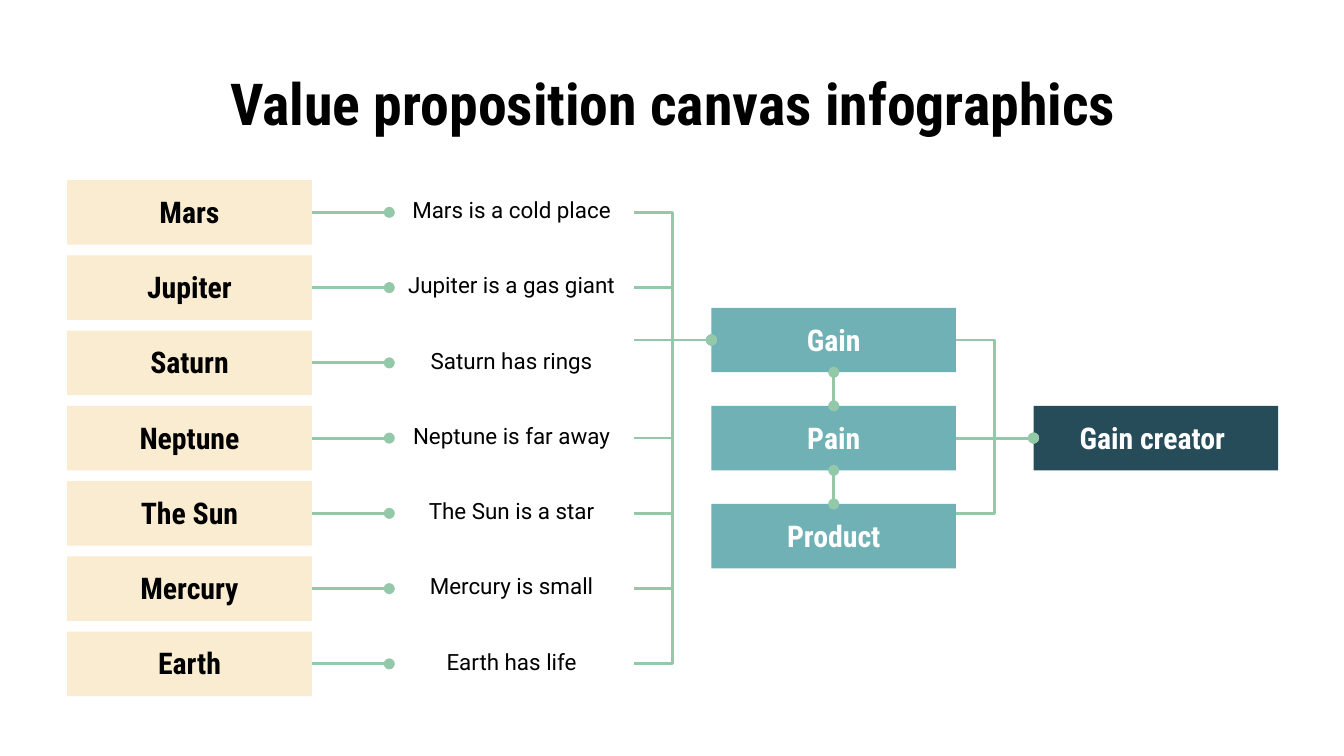
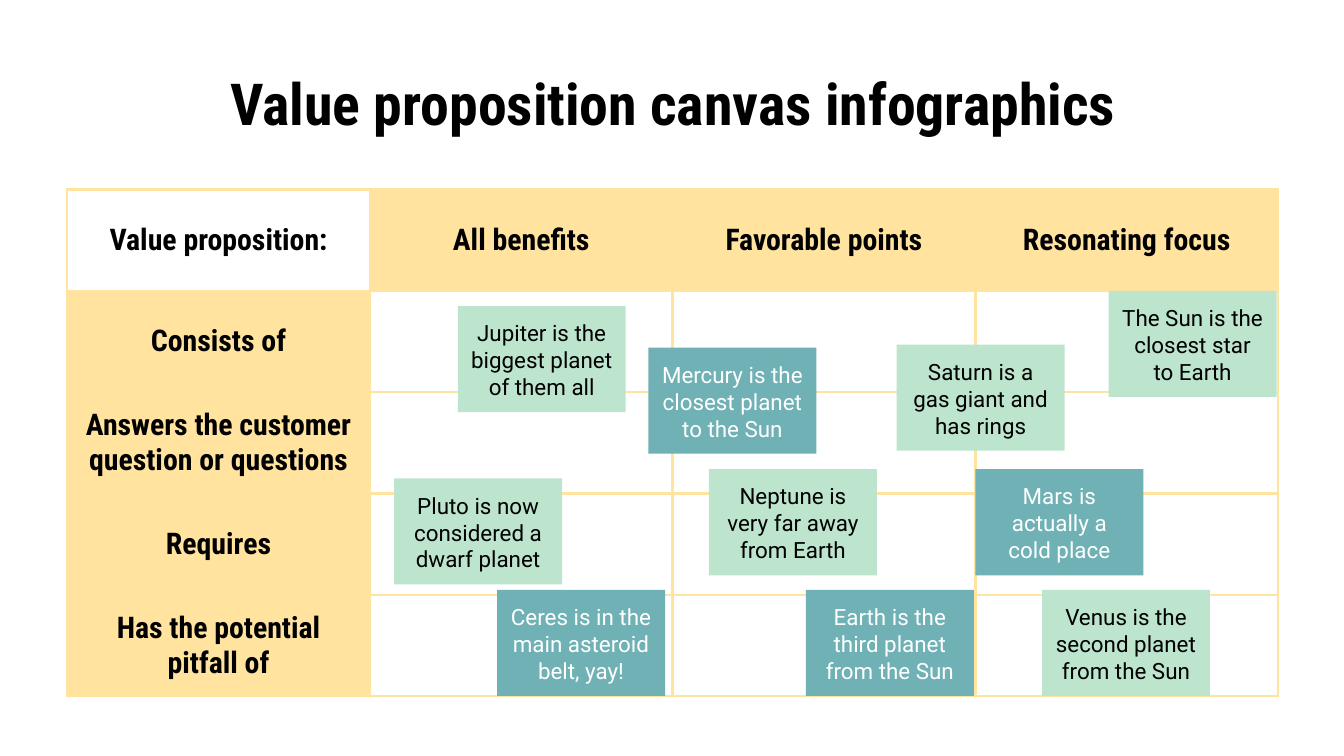
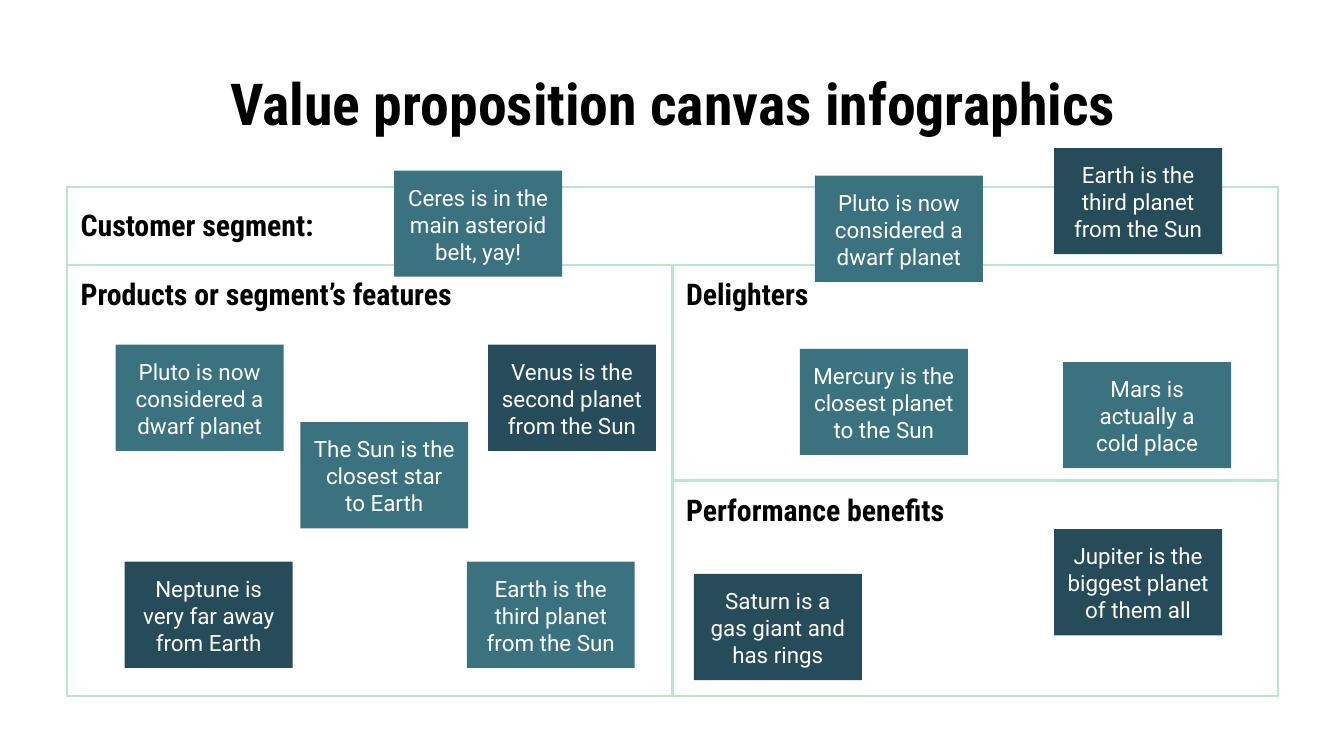
from collections import namedtuple

from lxml import etree
from pptx import Presentation
from pptx.dml.color import RGBColor
from pptx.enum.shapes import MSO_CONNECTOR, MSO_SHAPE
from pptx.enum.text import MSO_ANCHOR, PP_ALIGN
from pptx.oxml.ns import qn
from pptx.util import Inches, Pt

Box = namedtuple("Box", "x y w h")

# Shared style
BLACK, WHITE = "000000", "FFFFFF"
CREAM, YELLOW = "F9ECD1", "FFE39F"
MINT, GREEN = "BDE5CD", "93C9A9"
TEAL, DEEP_TEAL, NAVY = "6FB1B5", "3A727F", "264B59"
HEAD_FONT, BODY_FONT = "Roboto Condensed", "Roboto"
TITLE = "Value proposition canvas infographics"
TITLE_BOX = Box(0.5, 0.45, 9.01, 0.62)
MARGIN = 0.1
LINE_WIDTH = 1.5
TOP, LEFT, BOTTOM, RIGHT = range(4)

# Note texts used on the board slides, and the size of a note
FACTS = {
    "Jupiter": "Jupiter is the biggest planet of them all",
    "Earth": "Earth is the third planet from the Sun",
    "Sun": "The Sun is the closest star to Earth",
    "Pluto": "Pluto is now considered a dwarf planet",
    "Neptune": "Neptune is very far away from Earth",
    "Ceres": "Ceres is in the main asteroid belt, yay!",
    "Mercury": "Mercury is the closest planet to the Sun",
    "Mars": "Mars is actually a cold place",
    "Venus": "Venus is the second planet from the Sun",
    "Saturn": "Saturn is a gas giant and has rings",
}
NOTE_W, NOTE_H = 1.25, 0.79
BOARD_COLS, BOARD_ROWS = 4, 5


def rgb(color):
    return RGBColor.from_string(color)


def style_font(p, size, color, name=HEAD_FONT, bold=True):
    p.font.size, p.font.name, p.font.bold = Pt(size), name, bold
    p.font.color.rgb = rgb(color)


def set_margins(target):
    target.margin_left = target.margin_right = Inches(MARGIN)
    target.margin_top = target.margin_bottom = Inches(MARGIN)


def write(tf, text, size, color, name=HEAD_FONT, bold=True, anchor=MSO_ANCHOR.TOP):
    """Fill a text frame with one centred paragraph."""
    tf.word_wrap = True
    tf.vertical_anchor = anchor
    set_margins(tf)
    p = tf.paragraphs[0]
    p.text, p.alignment = text, PP_ALIGN.CENTER
    style_font(p, size, color, name, bold)


def add_titled_slide(prs):
    slide = prs.slides.add_slide(prs.slide_layouts[5])
    title = slide.shapes.title
    title.left, title.top, title.width, title.height = map(Inches, TITLE_BOX)
    write(title.text_frame, TITLE, 31, BLACK, anchor=MSO_ANCHOR.MIDDLE)
    return slide


def add_block(slide, box, text, fill, color, size=16, name=HEAD_FONT, bold=True):
    sp = slide.shapes.add_shape(MSO_SHAPE.RECTANGLE, *map(Inches, box))
    sp.shadow.inherit = False
    sp.fill.solid()
    sp.fill.fore_color.rgb = rgb(fill)
    sp.line.fill.background()
    write(sp.text_frame, text, size, color, name, bold)
    return sp


def add_label(slide, box, text):
    sp = slide.shapes.add_textbox(*map(Inches, box))
    write(sp.text_frame, text, 12, BLACK, BODY_FONT, False)
    return sp


def site(sp, side):
    """Middle of one side of a shape."""
    mid_x, mid_y = sp.left + sp.width // 2, sp.top + sp.height // 2
    return {TOP: (mid_x, sp.top), LEFT: (sp.left, mid_y),
            BOTTOM: (mid_x, sp.top + sp.height),
            RIGHT: (sp.left + sp.width, mid_y)}[side]


def add_link(slide, start, end, kind=MSO_CONNECTOR.STRAIGHT, dots=("tailEnd",)):
    """Link two ends, each a (shape, side) pair or a free (x, y) point."""
    joined = [hasattr(e[0], "shape_id") for e in (start, end)]
    points = [site(*e) if j else e for e, j in zip((start, end), joined)]
    cxn = slide.shapes.add_connector(kind, *points[0], *points[1])
    if joined[0]:
        cxn.begin_connect(*start)
    if joined[1]:
        cxn.end_connect(*end)
    cxn.line.color.rgb = rgb(GREEN)
    cxn.line.width = Pt(LINE_WIDTH)
    ln = cxn.line._get_or_add_ln()
    for dot in dots:
        etree.SubElement(ln, qn("a:" + dot), type="oval")
    etree.SubElement(cxn._element.spPr, qn("a:effectLst"))


def border_cell(cell, color):
    tcPr = cell._tc.get_or_add_tcPr()
    for i, edge in enumerate(("lnL", "lnR", "lnT", "lnB")):
        ln = etree.Element(qn("a:" + edge), w=str(Pt(LINE_WIDTH)))
        fill = etree.SubElement(ln, qn("a:solidFill"))
        etree.SubElement(fill, qn("a:srgbClr"), val=color)
        tcPr.insert(i, ln)


def add_grid(slide, box, col_count, row_heights, line):
    """Table with equal columns, clear cells and one border colour."""
    frame = slide.shapes.add_table(len(row_heights), col_count, *map(Inches, box))
    table = frame.table
    table.first_row = table.horz_banding = False
    for col in table.columns:
        col.width = Inches(box.w / col_count)
    for row, height in zip(table.rows, row_heights):
        row.height = Inches(height)
    for cell in table.iter_cells():
        cell.fill.background()
        set_margins(cell)
        border_cell(cell, line)
    return table


def fill_cell(cell, text, align, anchor, fill=None):
    cell.vertical_anchor = anchor
    p = cell.text_frame.paragraphs[0]
    p.text, p.alignment = text, align
    style_font(p, 16, BLACK)
    if fill:
        cell.fill.solid()
        cell.fill.fore_color.rgb = rgb(fill)


def add_notes(slide, box, notes):
    """Place notes by column and row of the board grid."""
    col_w, row_h = box.w / BOARD_COLS, box.h / BOARD_ROWS
    for key, col, row, fill in notes:
        spot = Box(box.x + col * col_w, box.y + row * row_h, NOTE_W, NOTE_H)
        color = BLACK if fill == MINT else WHITE
        add_block(slide, spot, FACTS[key], fill, color, 12, BODY_FONT, False)


def build_flow(slide, box):
    """Planets, their facts, three linked needs and the final result."""
    planets = [
        ("Mars", "Mars is a cold place"),
        ("Jupiter", "Jupiter is a gas giant"),
        ("Saturn", "Saturn has rings"),
        ("Neptune", "Neptune is far away"),
        ("The Sun", "The Sun is a star"),
        ("Mercury", "Mercury is small"),
        ("Earth", "Earth has life"),
    ]
    card_w, card_h, label_h = 1.82, 0.48, 0.44
    pitch_x = (box.w - card_w) / 3
    pitch_y = (box.h - card_h) / (len(planets) - 1)
    need_pitch = 0.73
    xs = [box.x + i * pitch_x for i in range(4)]
    mid_y = box.y + (box.h - card_h) / 2

    # Needs and result
    gain, pain, product = needs = [
        add_block(slide, Box(xs[2], mid_y + i * need_pitch, card_w, card_h),
                  text, TEAL, WHITE)
        for i, text in zip((-1, 0, 1), ("Gain", "Pain", "Product"))]
    result = add_block(slide, Box(xs[3], mid_y, card_w, card_h),
                       "Gain creator ", NAVY, WHITE)

    # Planet rows
    labels = []
    for i, (planet, fact) in enumerate(planets):
        y = box.y + i * pitch_y
        card = add_block(slide, Box(xs[0], y, card_w, card_h), planet, CREAM, BLACK)
        label = add_label(
            slide, Box(xs[1], y + (card_h - label_h) / 2, card_w, label_h), fact)
        add_link(slide, (card, RIGHT), (label, LEFT))
        labels.append(label)

    # Facts to gain; the Saturn link runs level with the gain block
    for i, label in enumerate(labels):
        if i == 2:
            level = (site(label, RIGHT)[0], site(gain, LEFT)[1])
            add_link(slide, level, (gain, LEFT))
        else:
            add_link(slide, (label, RIGHT), (gain, LEFT), MSO_CONNECTOR.ELBOW)

    # Needs to result; the product link leaves level with the fifth row
    add_link(slide, (gain, RIGHT), (result, LEFT), MSO_CONNECTOR.ELBOW)
    level = (site(product, RIGHT)[0], site(labels[4], RIGHT)[1])
    add_link(slide, level, (result, LEFT), MSO_CONNECTOR.ELBOW)
    add_link(slide, (pain, RIGHT), (result, LEFT))
    for upper, lower in zip(needs, needs[1:]):
        add_link(slide, (upper, BOTTOM), (lower, TOP), dots=("headEnd", "tailEnd"))


def build_matrix(slide, box):
    """Matrix with a header row and column, and notes on top."""
    table = add_grid(slide, box, BOARD_COLS, [box.h / BOARD_ROWS] * BOARD_ROWS, YELLOW)
    heads = ["Value proposition:", "All benefits", "Favorable points",
             "Resonating focus"]
    sides = ["Consists of", "Answers the customer question or questions",
             "Requires", "Has the potential pitfall of"]
    spots = [(0, c, text) for c, text in enumerate(heads)]
    spots += [(r, 0, text) for r, text in enumerate(sides, 1)]
    for r, c, text in spots:
        fill_cell(table.cell(r, c), text, PP_ALIGN.CENTER, MSO_ANCHOR.MIDDLE,
                  YELLOW if r or c else None)
    add_notes(slide, box, [
        ("Jupiter", 1.29, 1.15, MINT),
        ("Earth", 2.44, 3.95, TEAL),
        ("Sun", 3.44, 1, MINT),
        ("Pluto", 1.08, 2.85, MINT),
        ("Neptune", 2.12, 2.76, MINT),
        ("Ceres", 1.42, 3.95, TEAL),
        ("Mercury", 1.92, 1.56, TEAL),
        ("Mars", 3, 2.76, TEAL),
        ("Venus", 3.22, 3.95, MINT),
        ("Saturn", 2.74, 1.53, MINT),
    ])


def build_segment_board(slide, box):
    """Customer segment board with merged areas, and notes on top."""
    head_h = 0.58
    area_h = (box.h - head_h) / 2
    table = add_grid(slide, box, 2, [head_h, area_h, area_h], MINT)
    table.cell(0, 0).merge(table.cell(0, 1))
    table.cell(1, 0).merge(table.cell(2, 0))
    for r, c, text, anchor in [
        (0, 0, "Customer segment:", MSO_ANCHOR.MIDDLE),
        (1, 0, "Products or segment’s features", MSO_ANCHOR.TOP),
        (1, 1, "Delighters", MSO_ANCHOR.TOP),
        (2, 1, "Performance benefits", MSO_ANCHOR.TOP),
    ]:
        fill_cell(table.cell(r, c), text, PP_ALIGN.LEFT, anchor)
    add_notes(slide, box, [
        ("Jupiter", 3.26, 3.36, NAVY),
        ("Earth", 1.32, 3.68, DEEP_TEAL),
        ("Sun", 0.77, 2.31, DEEP_TEAL),
        ("Pluto", 0.16, 1.55, DEEP_TEAL),
        ("Neptune", 0.19, 3.68, NAVY),
        ("Ceres", 1.08, -0.16, DEEP_TEAL),
        ("Mercury", 2.42, 1.59, DEEP_TEAL),
        ("Mars", 3.29, 1.72, DEEP_TEAL),
        ("Venus", 1.39, 1.55, NAVY),
        ("Saturn", 2.07, 3.8, NAVY),
        ("Pluto", 2.47, -0.11, DEEP_TEAL),
        ("Earth", 3.26, -0.38, NAVY),
    ])


def main():
    prs = Presentation()
    prs.slide_width = Inches(10)
    prs.slide_height = prs.slide_width * 9 // 16
    build_flow(add_titled_slide(prs), Box(0.5, 1.34, 9.01, 3.84))
    build_matrix(add_titled_slide(prs), Box(0.5, 1.41, 9.01, 3.77))
    build_segment_board(add_titled_slide(prs), Box(0.5, 1.39, 9.01, 3.79))
    prs.save("out.pptx")


if __name__ == "__main__":
    main()
